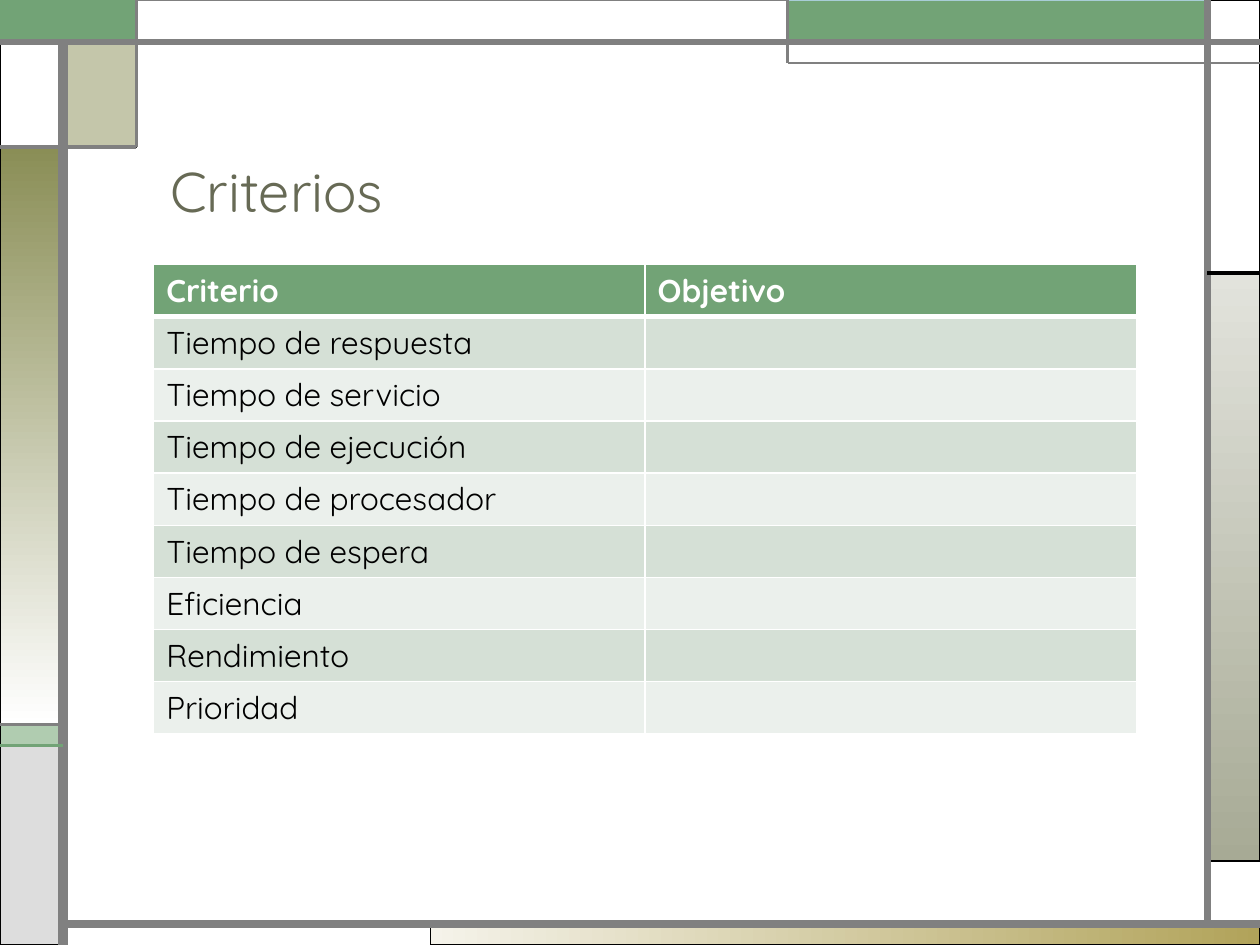
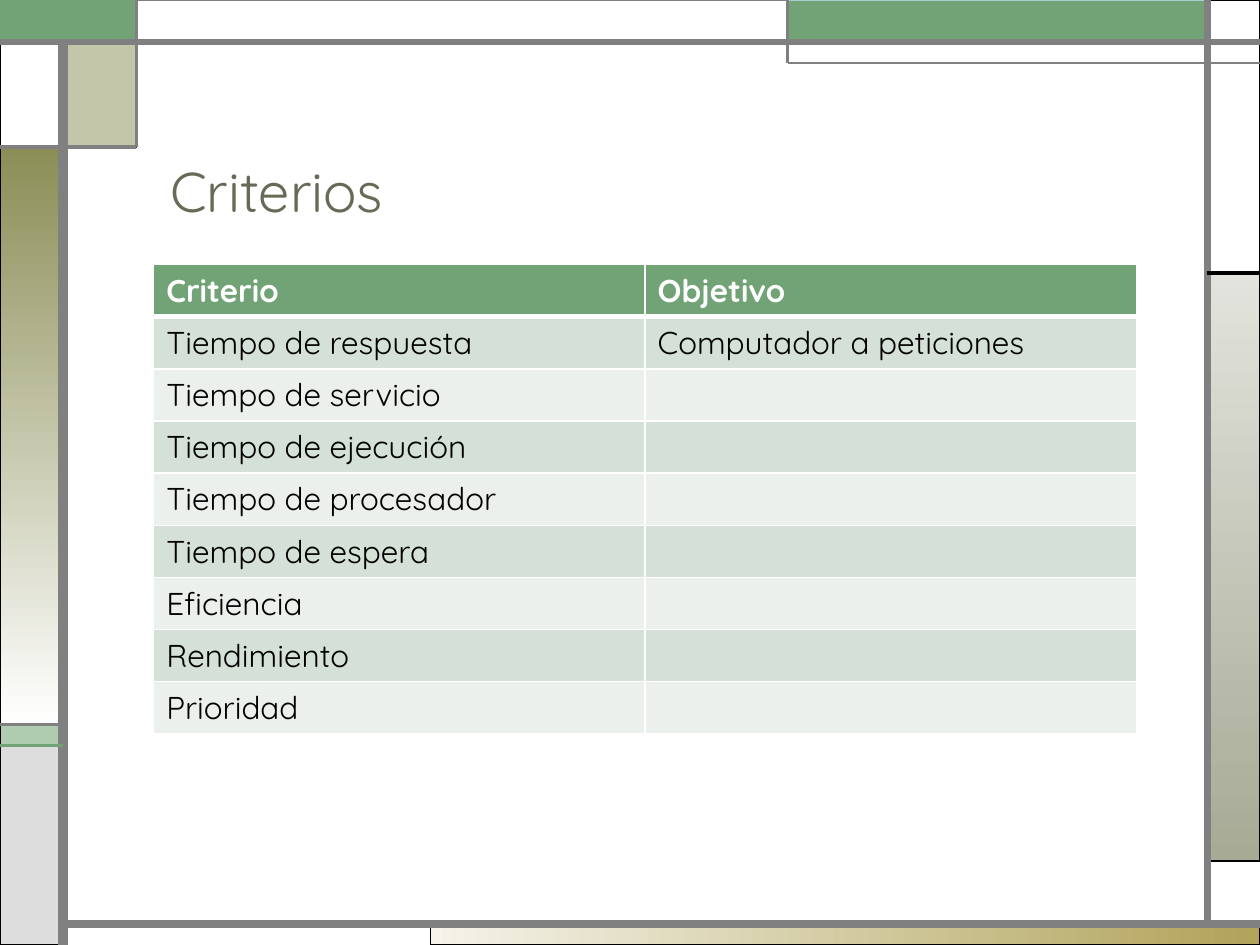
from lxml.etree import SubElement
from pptx import Presentation
from pptx.dml.color import RGBColor
from pptx.enum.shapes import MSO_CONNECTOR, MSO_SHAPE
from pptx.enum.text import MSO_ANCHOR, MSO_AUTO_SIZE, PP_ALIGN
from pptx.oxml.ns import qn
from pptx.util import Inches, Pt

COLORS = {
    "white": "FFFFFF", "black": "000000", "gray": "808080", "silver": "DDDDDD",
    "green": "72A376", "mint": "B0CCB0", "sky": "A8CDD7", "olive": "8A8E56",
    "cream": "F5F3EA", "gold": "B1A35A", "mist": "E2E3DC", "sage": "A7AA95",
    "title": "676A55", "odd row": "D5E0D6", "even row": "EBF0EC",
}
FONT = "Quicksand"
COLUMNS, ROWS = 120, 90

BANDS = [
    (41, 88, 79, 2, ("cream", "gold", 0), "black", 0.75),
    (115, 26, 5, 56, ("mist", "sage", 270), "black", 0.75),
    (0, 69, 6, 2, "mint", "black", 0.75),
    (0, 71, 6, 19, "silver", "black", 0.75),
    (115, 0, 5, 26, "white", "black", 0.75),
    (75, 0, 40, 4, "green", "sky", 0.75),
    (6, 4, 7, 10, "olive", "black", 0.75),
    (0, 14, 6, 55, ("olive", "white", 270), "black", 0.75),
    (0, 4, 6, 10, "white", "black", 0.75),
    (0, 0, 13, 4, "green", "green", 1.5),
    (13, 0, 62, 4, "white", "gray", 0.75),
]
RULES = [
    (6, 90, 6, 4, "gray", 6),
    (6, 88, 120, 88, "gray", 4.5),
    (115, 88, 115, 0, "gray", 4.5),
    (0, 4, 120, 4, "gray", 3),
    (120, 6, 75, 6, "gray", 1.5),
    (75, 6, 75, 0, "gray", 1.5),
    (115, 26, 120, 26, "black", 2.25),
    (13, 0, 13, 14, "gray", 1.5),
    (13, 14, 0, 14, "gray", 2.25),
    (6, 69, 0, 69, "gray", 2.25),
    (6, 71, 0, 71, "green", 2.25),
]
HEADINGS = ["Criterio", "Objetivo"]
CRITERIA = [
    "Tiempo de respuesta", "Tiempo de servicio", "Tiempo de ejecución",
    "Tiempo de procesador", "Tiempo de espera", "Eficiencia", "Rendimiento",
    "Prioridad",
]
SLIDE_GOALS = [{}, {"Tiempo de respuesta": "Computador a peticiones"}]


def rgb(name):
    return RGBColor.from_string(COLORS[name])


def on_grid(*cells):
    return [round(cell * unit) for cell, unit in zip(cells, (column, row) * 2)]


prs = Presentation()
prs.slide_width, prs.slide_height = Inches(10), Inches(7.5)
column, row = prs.slide_width / COLUMNS, prs.slide_height / ROWS
layout = prs.slide_layouts[5]
slides = [prs.slides.add_slide(layout) for goals in SLIDE_GOALS]
frame = []

for *box, paint, edge, weight in BANDS:
    band = slides[0].shapes.add_shape(MSO_SHAPE.RECTANGLE, *on_grid(*box))
    band.shadow.inherit = False
    if isinstance(paint, tuple):
        start, end, angle = paint
        band.fill.gradient()
        band.fill.gradient_angle = angle
        for stop, name in zip(band.fill.gradient_stops, (start, end)):
            stop.color.rgb = rgb(name)
    else:
        band.fill.solid()
        band.fill.fore_color.rgb = rgb(paint)
    if paint == "olive":
        tint = band._element.spPr.find(qn("a:solidFill")).find(qn("a:srgbClr"))
        SubElement(tint, qn("a:alpha"), val="50000")
    band.line.color.rgb = rgb(edge)
    band.line.width = Pt(weight)
    frame.append(band)

for *ends, color, weight in RULES:
    rule = slides[0].shapes.add_connector(MSO_CONNECTOR.STRAIGHT, *on_grid(*ends))
    rule.line.color.rgb = rgb(color)
    rule.line.width = Pt(weight)
    SubElement(rule._element.spPr, qn("a:effectLst"))
    frame.append(rule)

for part in frame:
    layout.shapes._spTree.append(part._element)

for slide, goals in zip(slides, SLIDE_GOALS):
    title = slide.shapes.title
    title.left, title.top, title.width, title.height = on_grid(15, 7, 94.5, 15)
    title.text_frame.text = "Criterios"
    title.text_frame.vertical_anchor = MSO_ANCHOR.BOTTOM
    title.text_frame.auto_size = MSO_AUTO_SIZE.NONE
    heading = title.text_frame.paragraphs[0]
    heading.alignment = PP_ALIGN.LEFT
    heading.line_spacing = 0.9
    heading.font.name, heading.font.size = FONT, Pt(32)
    heading.font.color.rgb = rgb("title")

    records = [HEADINGS] + [[name, goals.get(name, "")] for name in CRITERIA]
    criteria = slide.shapes.add_table(
        len(records), len(HEADINGS), *on_grid(14.64, 25.2, 93.6, 43.8)).table
    for r, record in enumerate(records):
        fill = "green" if r == 0 else "odd row" if r % 2 else "even row"
        for c, text in enumerate(record):
            cell = criteria.cell(r, c)
            cell.text = text
            entry = cell.text_frame.paragraphs[0]
            entry.font.name, entry.font.size = FONT, Pt(18)
            entry.font.bold = r == 0
            entry.font.color.rgb = rgb("black" if r else "white")
            for side in "LRTB":
                thick = (r, side) in [(0, "B"), (1, "T")]
                border = SubElement(cell._tc.get_or_add_tcPr(), qn(f"a:ln{side}"),
                                    w=str(Pt(3 if thick else 1)))
                SubElement(SubElement(border, qn("a:solidFill")),
                           qn("a:srgbClr"), val=COLORS["white"])
            cell.fill.solid()
            cell.fill.fore_color.rgb = rgb(fill)

prs.save("out.pptx")
